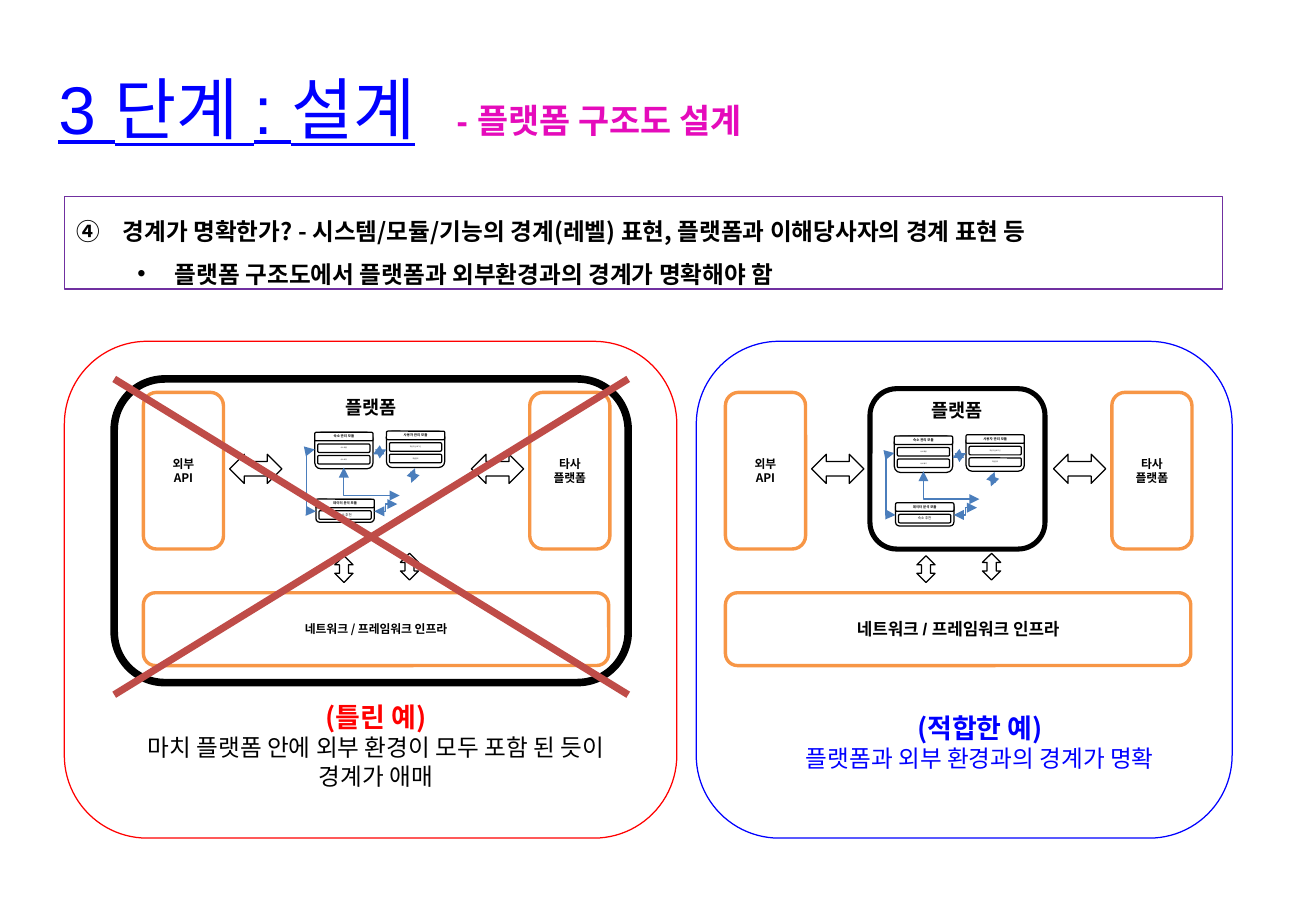
from lxml.etree import SubElement
from pptx import Presentation
from pptx.dml.color import RGBColor
from pptx.enum.shapes import MSO_CONNECTOR, MSO_SHAPE
from pptx.enum.text import MSO_ANCHOR, MSO_AUTO_SIZE, PP_ALIGN
from pptx.oxml.ns import qn
from pptx.util import Inches, Pt

# Content
NOTO, ARIAL = "Noto Sans CJK KR", "Arial"
COLORS = dict(black="000000", white="FFFFFF", blue="0000FF", red="FF0000",
              pink="E50BBB", purple="7030A0", orange="F79646",
              link="4B7EBC", cross="BF4C48")
TITLE = "3 단계 : 설계"
SUBTITLE = "- 플랫폼 구조도 설계"
CHECKS = ["경계가 명확한가? - 시스템/모듈/기능의 경계(레벨) 표현, 플랫폼과 이해당사자의 경계 표현 등",
          "플랫폼 구조도에서 플랫폼과 외부환경과의 경계가 명확해야 함"]
PLATFORM = "플랫폼"
PARTNERS = [["외부", "API"], ["타사", "플랫폼"]]
NETWORK = "네트워크 / 프레임워크 인프라"
# Module: left, top, height, name, functions, function text size
MODULES = [(0, 1, 30, "숙소 관리 모듈", ["숙소 제공", "숙소 예약"], 1),
           (59, 0, 30, "사용자 관리 모듈", ["회원가입/로그인", "회원관리"], 1),
           (1, 56, 19, "데이터 분석 모듈", ["숙소 추천"], 2)]
# Link: from x, y, to x, y, then its preset, bend and turn
LINKS = [(87, 38, 75, 35, "bentConnector3", 0.5, 90),
         (59, 15, 48, 19, "bentConnector3", 0.5, 0),
         (0, 15, 1, 66, "bentConnector3", -7, 0),
         (70, 53, 24, 30, "bentConnector2", None, 0),
         (68, 60, 49, 66, "bentConnector3", 0.5, 0)]
# Example: diagram left, platform box, platform line, modules' corner,
# network text, frame, frame colour, caption box, caption
EXAMPLES = [
    (118, (94, 312, 423, 250), 4.5, (259, 355), (7, NOTO),
     (53, 281, 504, 409), "red", (87, 572, 445, 84),
     [("(틀린 예)", dict(size=16, bold=True, color="red")),
      "마치 플랫폼 안에 외부 환경이 모두 포함 된 듯이", "경계가 애매"]),
    (597, (716, 320, 144, 132), 3, (736, 358), (10, ARIAL),
     (573, 281, 441, 409), "blue", (636, 581, 341, 61),
     [("(적합한 예)", dict(size=16, bold=True, color="blue")),
      ("플랫폼과 외부 환경과의 경계가 명확", dict(color="blue"))]),
]

# Slide on a grid of 1083 columns and 750 rows
prs = Presentation()
prs.slide_width, prs.slide_height = Inches(10.83), Inches(7.5)
COL, ROW = prs.slide_width / 1083, prs.slide_height / 750
slide = prs.slides.add_slide(prs.slide_layouts[1])


def grid(x, y, w, h):
    return [round(v * unit) for v, unit in zip((x, y, w, h), (COL, ROW) * 2)]


def rgb(name):
    return RGBColor.from_string(COLORS[name])


def write(tf, lines, align=PP_ALIGN.CENTER, **base):
    """Fill a text frame; a line is a text or a (text, format) pair."""
    for i, line in enumerate(lines):
        text, own = (line, {}) if isinstance(line, str) else line
        fmt = {"size": 14, "font": NOTO, "color": "black", "bold": False,
               "underline": False, **base, **own}
        p = tf.paragraphs[0] if i == 0 else tf.add_paragraph()
        p.alignment = align
        r = p.add_run()
        r.text = text
        f = r.font
        f.size, f.name, f.bold = Pt(fmt["size"]), fmt["font"], fmt["bold"]
        f.underline = fmt["underline"]
        f.color.rgb = rgb(fmt["color"])
        SubElement(r._r.get_or_add_rPr(), qn("a:ea")).set("typeface", NOTO)


def box(cell, line, width=0.75, fill="white", kind=MSO_SHAPE.ROUNDED_RECTANGLE,
        lines=(), anchor=MSO_ANCHOR.MIDDLE, inset=0.02, wrap=True, **fmt):
    sp = slide.shapes.add_shape(kind, *grid(*cell))
    sp.shadow.inherit = False
    if fill:
        sp.fill.solid()
        sp.fill.fore_color.rgb = rgb(fill)
    else:
        sp.fill.background()
    sp.line.color.rgb, sp.line.width = rgb(line), Pt(width)
    if lines:
        tf = sp.text_frame
        tf.word_wrap, tf.vertical_anchor = wrap, anchor
        tf.margin_left = tf.margin_right = tf.margin_top = tf.margin_bottom = Inches(inset)
        write(tf, lines, **fmt)
    return sp


def label(cell, lines, **fmt):
    tf = slide.shapes.add_textbox(*grid(*cell)).text_frame
    tf.word_wrap = False
    write(tf, lines, **fmt)


def connect(kind, x1, y1, x2, y2, color, width):
    line = slide.shapes.add_connector(kind, *grid(x1, y1, x2, y2))
    line.line.color.rgb, line.line.width = rgb(color), Pt(width)
    SubElement(line._element.spPr, qn("a:effectLst"))
    return line


def link(x, y, x1, y1, x2, y2, preset, bend, turn):
    line = connect(MSO_CONNECTOR.ELBOW, x + x1, y + y1, x + x2, y + y2, "link", 0.75)
    spPr = line._element.spPr
    spPr.find(qn("a:xfrm")).set("rot", str(turn * 60000))
    geom = spPr.find(qn("a:prstGeom"))
    geom.set("prst", preset)
    if bend is not None:
        guide = SubElement(geom.find(qn("a:avLst")), qn("a:gd"))
        guide.set("name", "adj1")
        guide.set("fmla", f"val {round(bend * 100000)}")
    for end in ("a:headEnd", "a:tailEnd"):
        SubElement(spPr.find(qn("a:ln")), qn(end)).set("type", "triangle")


def modules(x, y):
    for dx, dy, h, name, functions, size in MODULES:
        left, top = x + dx, y + dy
        small = dict(inset=0, wrap=False)
        box((left, top, 48, h), "black")
        box((left, top, 48, 7), "black", lines=[name], size=2, bold=True, **small)
        for i, function in enumerate(functions):
            box((left + 2.5, top + 9.5 + 9.5 * i, 43, 7), "black",
                lines=[function], size=size, **small)
    for route in LINKS:
        link(x, y, *route)


def diagram(left, platform, weight, corner, network):
    box(platform, "black", weight, lines=[PLATFORM], anchor=MSO_ANCHOR.TOP,
        size=11, bold=True)
    for i, partner in enumerate(PARTNERS):
        box((left + 318 * i, 323, 66, 129), "orange", 2, lines=partner,
            size=7, bold=True)
        box((left + 71 + 199 * i, 374, 43, 24), "black", fill=None,
            kind=MSO_SHAPE.LEFT_RIGHT_ARROW)
        box((left + 154 + 54 * i, 461 - 2 * i, 22, 15), "black", fill=None,
            kind=MSO_SHAPE.LEFT_RIGHT_ARROW).rotation = 90
    size, font = network
    box((left, 488, 383, 60), "orange", 2, lines=[NETWORK], size=size,
        font=font, bold=True)
    modules(*corner)


# Title and checklist
title, body = slide.shapes.title, slide.placeholders[1]
for sp, cell in ((title, (38, 50, 874, 77)), (body, (53, 162, 953, 76))):
    sp.left, sp.top, sp.width, sp.height = grid(*cell)
    sp.text_frame.auto_size = MSO_AUTO_SIZE.NONE
write(title.text_frame, [TITLE], align=PP_ALIGN.LEFT, size=40, font=ARIAL,
      color="blue", underline=True)
body.line.color.rgb, body.line.width = rgb("purple"), Pt(0.75)
write(body.text_frame, CHECKS, align=PP_ALIGN.LEFT, bold=True)
BULLETS = [(0.38, -0.38, [("a:buAutoNum", dict(type="circleNumDbPlain", startAt="4"))]),
           (0.81, -0.31, [("a:buFont", dict(typeface=ARIAL)), ("a:buChar", dict(char="•"))])]
for level, (p, (margin, indent, marks)) in enumerate(zip(body.text_frame.paragraphs, BULLETS)):
    p.level = level
    pPr = p._p.get_or_add_pPr()
    pPr.set("marL", str(Inches(margin)))
    pPr.set("indent", str(Inches(indent)))
    for tag, values in marks:
        SubElement(pPr, qn(tag), values)
    p.line_spacing, p.space_before = 1.5, Pt(0)

# Wrong and right examples
for *parts, frame, color, caption_cell, caption in EXAMPLES:
    diagram(*parts)
    label(caption_cell, caption)
    box(frame, color, fill=None)

# Cross over the wrong example
x, y, w, h = EXAMPLES[0][1]
for top, bottom in ((y, y + h + 10), (y + h + 10, y)):
    connect(MSO_CONNECTOR.STRAIGHT, x, top, x + w, bottom, "cross", 4.25)

label((366, 77, 286, 44), [SUBTITLE], align=PP_ALIGN.LEFT, size=20, font=ARIAL,
      color="pink", bold=True)

prs.save("out.pptx")
